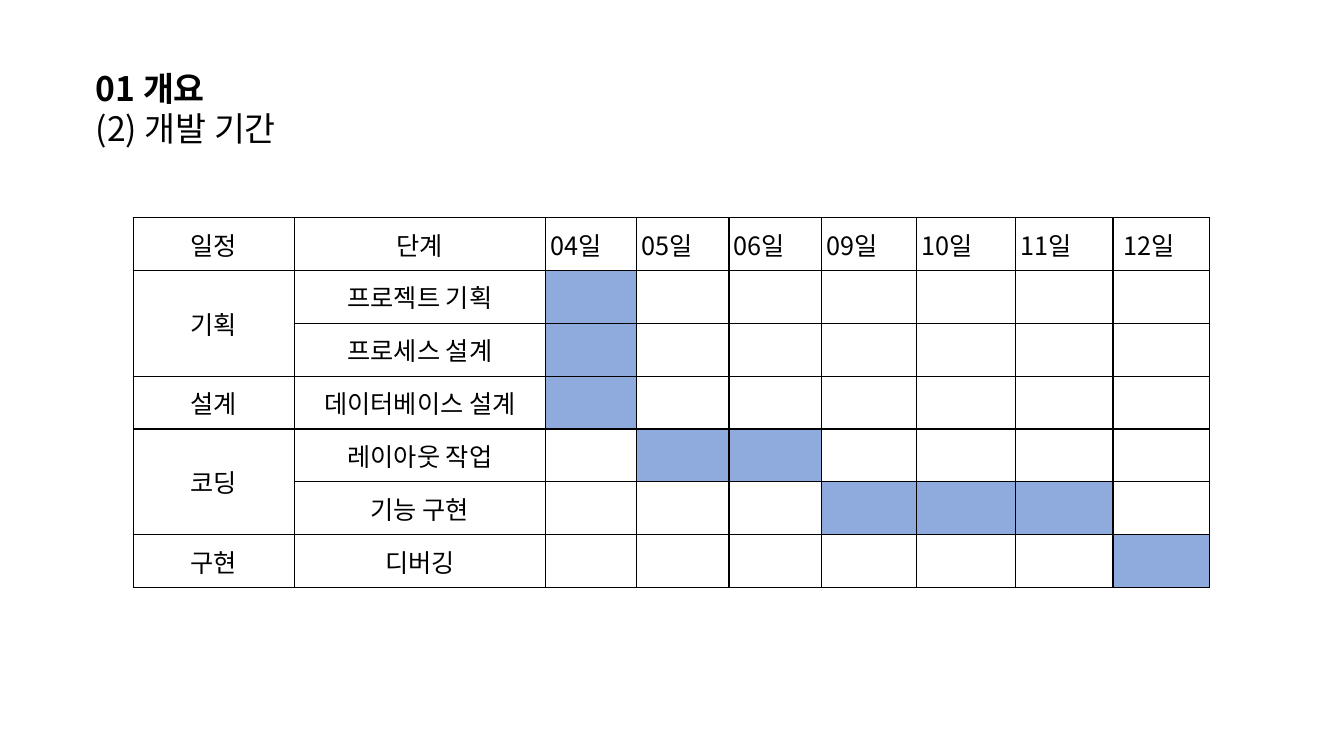
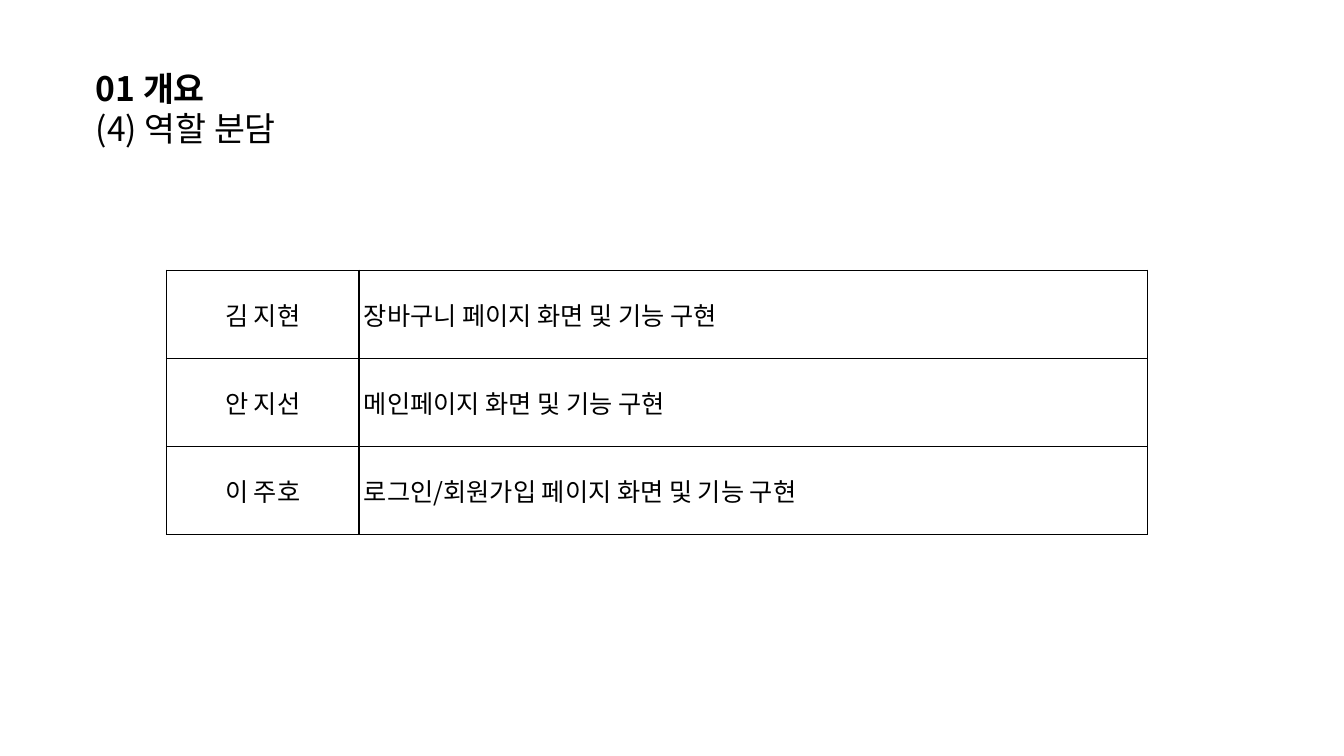
from lxml import etree
from pptx import Presentation
from pptx.dml.color import RGBColor
from pptx.enum.text import MSO_ANCHOR, MSO_AUTO_SIZE, PP_ALIGN
from pptx.oxml.ns import qn
from pptx.util import Inches, Pt

BLACK = RGBColor(0x00, 0x00, 0x00)
BAR_BLUE = RGBColor(0x8F, 0xAA, 0xDC)
FONT = "Noto Sans CJK KR"
LEFT, CENTER = PP_ALIGN.LEFT, PP_ALIGN.CENTER
TOP, MIDDLE = MSO_ANCHOR.TOP, MSO_ANCHOR.MIDDLE
GROW = MSO_AUTO_SIZE.SHAPE_TO_FIT_TEXT
INSET = Inches(0.05)
BORDER_SIDES = ("a:lnL", "a:lnR", "a:lnT", "a:lnB")
TITLE_ONLY = 5

SECTION = "01 개요"
DAYS = ["04일", "05일", "06일", "09일", "10일", "11일", " 12일"]
STAGES = [
    ("기획", "프로젝트 기획", [0]),
    ("", "프로세스 설계", [0]),
    ("설계", "데이터베이스 설계", [0]),
    ("코딩", "레이아웃 작업", [1, 2]),
    ("", "기능 구현", [3, 4, 5]),
    ("구현", "디버깅", [6]),
]
ROLES = [
    ["김 지현", "장바구니 페이지 화면 및 기능 구현"],
    ["안 지선", "메인페이지 화면 및 기능 구현"],
    ["이 주호", "로그인/회원가입 페이지 화면 및 기능 구현"],
]
schedule_rows = [["일정", "단계"] + DAYS]
schedule_rows += [[phase, stage] + [""] * len(DAYS) for phase, stage, days in STAGES]
schedule_bars = {
    (row, day + 2)
    for row, (phase, stage, days) in enumerate(STAGES, start=1)
    for day in days
}

SLIDES = [
    {
        "subtitle": "(2) 개발 기간",
        "left": 1.32, "top": 2.16, "height": 3.67,
        "widths": [1.6, 2.49, 0.9, 0.92, 0.92, 0.94, 0.98, 0.97, 0.96],
        "rows": schedule_rows,
        "centered": [(row, column) for row in range(7) for column in (0, 1)],
        "bars": schedule_bars,
        "merged_rows": [(1, 2), (4, 5)],
    },
    {
        "subtitle": "(4) 역할 분담",
        "left": 1.65, "top": 2.68, "height": 2.62,
        "widths": [1.91, 7.82],
        "rows": ROLES,
        "centered": [(row, 0) for row in range(3)],
        "bars": set(),
        "merged_rows": [],
    },
]


def write_text(paragraph, text, size=18, bold=False, align=LEFT):
    paragraph.alignment = align
    paragraph.line_spacing = 1.0
    span = paragraph.add_run()
    span.text = text
    span.font.name = FONT
    span.font.size = Pt(size)
    span.font.bold = bold
    span.font.color.rgb = BLACK
    east_asian = etree.SubElement(span.font._element, qn("a:ea"))
    east_asian.set("typeface", FONT)


def add_borders(cell):
    properties = cell._tc.get_or_add_tcPr()
    for side in BORDER_SIDES:
        line = etree.SubElement(properties, qn(side), w=str(Pt(1)))
        fill = etree.SubElement(line, qn("a:solidFill"))
        etree.SubElement(fill, qn("a:srgbClr"), val=str(BLACK))


deck = Presentation()
deck.slide_width = Inches(13.33)
deck.slide_height = Inches(7.5)

for content in SLIDES:
    page = deck.slides.add_slide(deck.slide_layouts[TITLE_ONLY])

    title = page.shapes.title
    title.left, title.top = Inches(0.9), Inches(0.62)
    title.width, title.height = Inches(2), Inches(0.88)
    frame = title.text_frame
    frame.margin_left = frame.margin_right = INSET
    frame.margin_top = frame.margin_bottom = INSET
    frame.vertical_anchor = TOP
    frame.word_wrap = False
    frame.auto_size = GROW
    write_text(frame.paragraphs[0], SECTION, size=24, bold=True)
    write_text(frame.add_paragraph(), content["subtitle"], size=24)

    rows, widths = content["rows"], content["widths"]
    table = page.shapes.add_table(
        len(rows), len(widths),
        Inches(content["left"]), Inches(content["top"]),
        Inches(sum(widths)), Inches(content["height"]),
    ).table
    table.first_row = False
    table.horz_banding = False
    for column, width in zip(table.columns, widths):
        column.width = Inches(width)

    for row_index, row in enumerate(rows):
        table.rows[row_index].height = Inches(content["height"] / len(rows))
        for column_index, text in enumerate(row):
            position = (row_index, column_index)
            cell = table.cell(*position)
            cell.margin_left = cell.margin_right = INSET
            cell.margin_top = cell.margin_bottom = INSET
            cell.vertical_anchor = MIDDLE
            add_borders(cell)
            if position in content["bars"]:
                cell.fill.solid()
                cell.fill.fore_color.rgb = BAR_BLUE
            else:
                cell.fill.background()
            if text:
                align = CENTER if position in content["centered"] else LEFT
                write_text(cell.text_frame.paragraphs[0], text, align=align)

    for first, last in content["merged_rows"]:
        table.cell(first, 0).merge(table.cell(last, 0))

deck.save("out.pptx")
